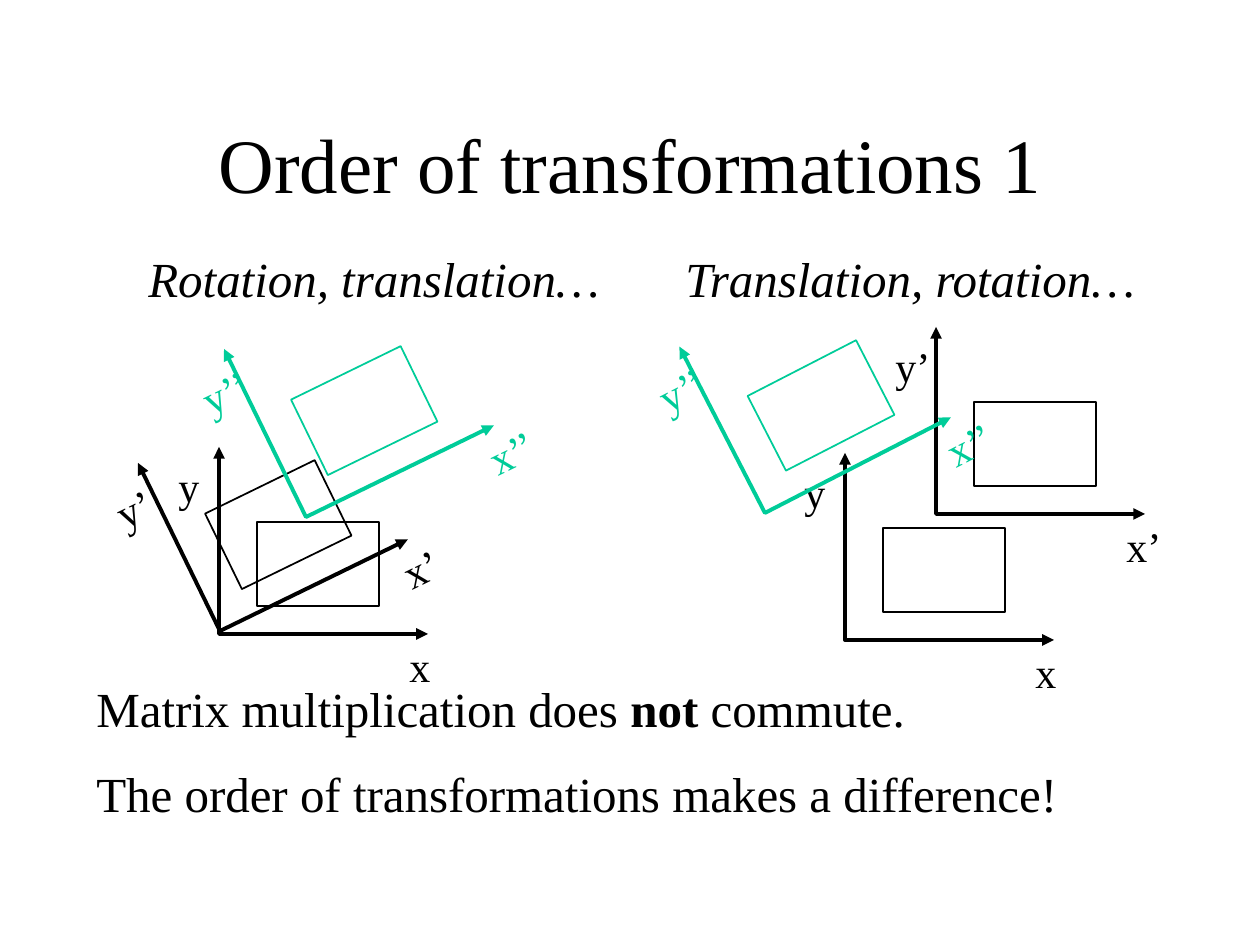
import math
import pptx
import pptx.dml.color
import pptx.enum.shapes
import pptx.enum.text
import pptx.oxml.ns
import pptx.util
from lxml import etree

BLACK = pptx.dml.color.RGBColor(0x00, 0x00, 0x00)
GREEN = pptx.dml.color.RGBColor(0x00, 0xCC, 0x99)
FONT = "Times New Roman"
SCALE = 914400 / 126


def px(n):
    return pptx.util.Emu(round(n * SCALE))


def text_box(left, top, width, height, lines, size, color=BLACK, wrap=True):
    box = slide.shapes.add_textbox(px(left), px(top), px(width), px(height))
    frame = box.text_frame
    frame.word_wrap = wrap
    frame.auto_size = pptx.enum.text.MSO_AUTO_SIZE.SHAPE_TO_FIT_TEXT
    for i, line in enumerate(lines):
        para = frame.paragraphs[0] if i == 0 else frame.add_paragraph()
        if i:
            para.space_before = pptx.util.Pt(15)
        for j, part in enumerate(line.split("**")):
            run = para.add_run()
            run.text = part
            if j % 2:
                run.font.bold = True
        para.font.name = FONT
        para.font.size = pptx.util.Pt(size)
        para.font.color.rgb = color
    return box


deck = pptx.Presentation()
deck.slide_width = px(1260)
deck.slide_height = px(945)
slide = deck.slides.add_slide(deck.slide_layouts[6])

# Title
title = text_box(95, 84, 1071, 158, ["Order of transformations 1"], 44)
title.text_frame.auto_size = pptx.enum.text.MSO_AUTO_SIZE.NONE
title.text_frame.vertical_anchor = pptx.enum.text.MSO_ANCHOR.MIDDLE
title.text_frame.paragraphs[0].alignment = pptx.enum.text.PP_ALIGN.CENTER

# Coordinate frames: origin x, origin y, turn in degrees, primes, colour
frames = [
    (219, 634, 0, "", BLACK),
    (220, 631, 334, "’", BLACK),
    (306, 517, 334, "’’", GREEN),
    (845, 640, 0, "", BLACK),
    (936, 514, 0, "’", BLACK),
    (765, 513, 332.8, "’’", GREEN),
]
AXIS_W, AXIS_H = 209, 187
LABEL_W, LABEL_H = (47, 60, 74), 63

for ox, oy, turn, primes, color in frames:
    # Axes
    pen = slide.shapes.build_freeform(px(ox), px(oy - AXIS_H))
    pen.add_line_segments([(px(ox), px(oy)), (px(ox + AXIS_W), px(oy))], close=False)
    axes = pen.convert_to_shape()

    # Object in the frame
    rect = slide.shapes.add_shape(
        pptx.enum.shapes.MSO_SHAPE.RECTANGLE,
        px(ox + 38), px(oy - 112), px(122), px(84))

    for shape, weight in ((axes, 2.25), (rect, 1)):
        shape.shadow.inherit = False
        shape.fill.background()
        shape.line.color.rgb = color
        shape.line.width = pptx.util.Pt(weight)
    line = axes.line._get_or_add_ln()
    for end in ("a:headEnd", "a:tailEnd"):
        etree.SubElement(line, pptx.oxml.ns.qn(end), type="triangle")

    # Axis labels
    wide = LABEL_W[len(primes)]
    labels = [
        text_box(ox + dx, oy + dy, wide, LABEL_H, [name + primes], 24, color, False)
        for name, dx, dy in (("x", 178, 0), ("y", -53, -180))
    ]

    # Turn every part about the origin
    cos, sin = math.cos(math.radians(turn)), math.sin(math.radians(turn))
    for part in (axes, rect, *labels):
        dx = part.left + part.width / 2 - px(ox)
        dy = part.top + part.height / 2 - px(oy)
        part.left = round(px(ox) + dx * cos - dy * sin - part.width / 2)
        part.top = round(px(oy) + dx * sin + dy * cos - part.height / 2)
        part.rotation = turn

# Conclusion
text_box(84, 672, 1071, 160, [
    "Matrix multiplication does **not **commute.",
    "The order of transformations makes a difference!",
], 28)

# Headings, set apart by a tab stop
heads = text_box(136, 242, 1071, 72, ["Rotation, translation…\tTranslation, rotation…"], 28)
para = heads.text_frame.paragraphs[0]
para.font.italic = True
props = para._p.get_or_add_pPr()
tabs = etree.Element(pptx.oxml.ns.qn("a:tabLst"))
etree.SubElement(tabs, pptx.oxml.ns.qn("a:tab"), pos=str(px(537)), algn="l")
props.insert(0, tabs)

deck.save("out.pptx")
